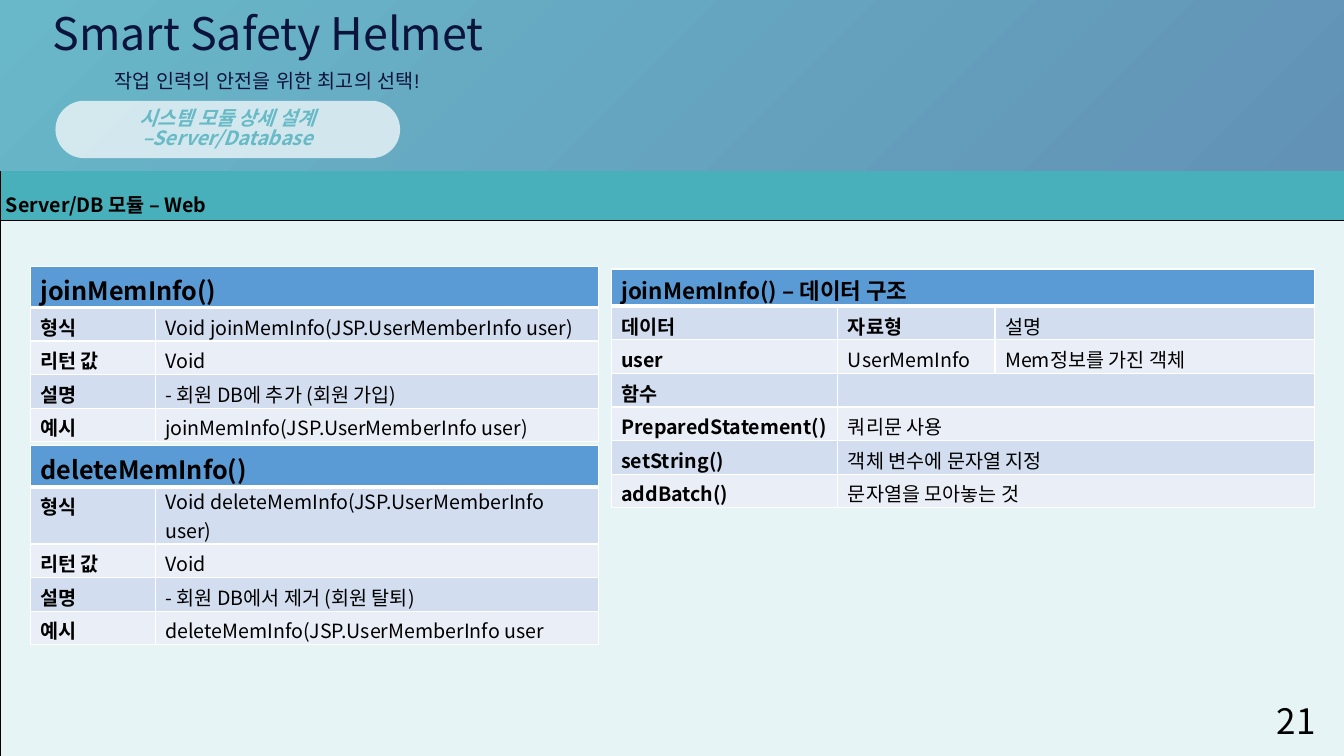
"""Build the Server/DB web module slide of the Smart Safety Helmet deck."""
from lxml.etree import SubElement
from pptx import Presentation
from pptx.dml.color import RGBColor
from pptx.enum.shapes import MSO_SHAPE
from pptx.enum.text import MSO_ANCHOR, MSO_AUTO_SIZE, PP_ALIGN
from pptx.oxml.ns import qn
from pptx.util import Pt

BLACK = RGBColor(0x00, 0x00, 0x00)
WHITE = RGBColor(0xFF, 0xFF, 0xFF)
NAVY = RGBColor(0x0D, 0x14, 0x3C)
AQUA = RGBColor(0x68, 0xBA, 0xC6)
SKY = RGBColor(0x69, 0xB8, 0xC9)
STEEL = RGBColor(0x62, 0x92, 0xB6)
TEAL = RGBColor(0x47, 0xB0, 0xBB)
MIST = RGBColor(0xE7, 0xF4, 0xF6)
BLUE = RGBColor(0x5B, 0x9B, 0xD5)
PALE = RGBColor(0xD2, 0xDE, 0xEF)
LIGHT = RGBColor(0xEA, 0xEF, 0xF7)
FONT = "Noto Sans CJK KR"


def write(para, text, size, color=BLACK, **more):
    if not text:
        SubElement(para._p, qn("a:endParaRPr"), sz=str(size * 100))
        return None
    run = para.add_run()
    run.text = text
    look = {"name": FONT, "size": Pt(size), "bold": False, **more}
    for key, value in look.items():
        setattr(run.font, key, value)
    run.font.color.rgb = color
    props = run._r.get_or_add_rPr()
    SubElement(props, qn("a:ea"), typeface=look["name"])
    return run


def grid(left, top, cols, highs, rows, head, tones=(BLUE, PALE, LIGHT),
         edge=WHITE, thin=1, thick=3):
    frame = slide.shapes.add_table(len(rows), len(cols), Pt(left), Pt(top),
                                   Pt(sum(cols)), Pt(sum(highs)))
    table = frame.table
    for col, wide in zip(table.columns, cols):
        col.width = Pt(wide)
    for r, texts in enumerate(rows):
        table.rows[r].height = Pt(highs[r])
        for c in range(len(cols)):
            cell = table.cell(r, c)
            text = texts[c] if c < len(texts) else ""
            cell.margin_top, cell.margin_bottom = Pt(3.5), 0
            write(cell.text_frame.paragraphs[0], text, 14 if r else head,
                  bold=r == 0 or c == 0 or text == "자료형")
            props = cell._tc.get_or_add_tcPr()
            for side in ("lnL", "lnR", "lnT", "lnB"):
                heavy = (side, r) in (("lnB", 0), ("lnT", 1))
                line = SubElement(props, qn(f"a:{side}"),
                                  w=str(Pt(thick if heavy else thin)))
                paint = SubElement(line, qn("a:solidFill"))
                SubElement(paint, qn("a:srgbClr"), val=str(edge))
            cell.fill.solid()
            cell.fill.fore_color.rgb = tones[2 - r % 2] if r else tones[0]
        if len(texts) < len(cols):
            table.cell(r, len(texts) - 1).merge(table.cell(r, len(cols) - 1))
    return table


deck = Presentation()
deck.slide_width, deck.slide_height = Pt(960), Pt(540)
slide = deck.slides.add_slide(deck.slide_layouts[5])
shapes = slide.shapes

panel = grid(0, 121.7, [960], [34.5, 383.8], [["Server/DB 모듈 – Web"], [""]],
             14, (TEAL, MIST, MIST), BLACK, 0.28, 0.28)
bar = panel.cell(0, 0)
bar.vertical_anchor = MSO_ANCHOR.MIDDLE
bar.margin_left = bar.margin_right = Pt(4.3)
bar.margin_top = bar.margin_bottom = Pt(1.4)
bar.text_frame.paragraphs[0].line_spacing = 1.6

banner = shapes.add_shape(MSO_SHAPE.RECTANGLE, 0, 0, Pt(960), Pt(121.7))
banner.shadow.inherit = False
banner.line.fill.background()
banner.fill.gradient()
banner.fill.gradient_angle = 315
for stop, tone in zip(banner.fill.gradient_stops, (SKY, STEEL)):
    stop.color.rgb = tone

title = shapes.title
shapes._spTree.append(title._element)
title.left, title.top, title.width, title.height = Pt(21.6), 0, Pt(340), Pt(46)
motto = shapes.add_textbox(Pt(74.9), Pt(45.4), Pt(269.3), Pt(24.5))
number = shapes.add_textbox(Pt(730.8), Pt(500.4), Pt(216), Pt(28.8))
labels = (
    (title, "Smart Safety Helmet", 32, FONT, NAVY, PP_ALIGN.CENTER),
    (motto, "작업 인력의 안전을 위한 최고의 선택!", 14, "Arial", NAVY, PP_ALIGN.LEFT),
    (number, "21", 25, FONT, BLACK, PP_ALIGN.RIGHT),
)
for box, text, size, name, tone, align in labels:
    frame = box.text_frame
    frame.word_wrap = True
    frame.auto_size = MSO_AUTO_SIZE.NONE
    frame.vertical_anchor = MSO_ANCHOR.MIDDLE
    frame.paragraphs[0].alignment = align
    run = write(frame.paragraphs[0], text, size, tone, name=name)
    if tone == NAVY:
        props = run._r.get_or_add_rPr()
        line = props.makeelement(qn("a:ln"), {"w": str(Pt(0.75))})
        props.insert(0, line)
        paint = SubElement(line, qn("a:solidFill"))
        ink = SubElement(paint, qn("a:srgbClr"), val=str(NAVY))
        SubElement(ink, qn("a:alpha"), val="30000")

pill = shapes.add_shape(MSO_SHAPE.ROUNDED_RECTANGLE,
                        Pt(39.6), Pt(72), Pt(246.2), Pt(41))
pill.adjustments[0] = 0.5
pill.shadow.inherit = False
pill.line.fill.background()
pill.fill.solid()
pill.fill.fore_color.rgb = WHITE
SubElement(pill._element.spPr.find(".//" + qn("a:srgbClr")),
           qn("a:alpha"), val="71000")
frame = pill.text_frame
frame.vertical_anchor = MSO_ANCHOR.MIDDLE
for i, text in enumerate(("시스템 모듈 상세 설계", "–Server/Database")):
    para = frame.add_paragraph() if i else frame.paragraphs[0]
    para.alignment = PP_ALIGN.CENTER
    para.line_spacing = 0.85
    write(para, text, 14, AQUA, bold=True, italic=True)

calls = (
    (190.1, 24, "joinMemInfo()", "Void joinMemInfo(JSP.UserMemberInfo user)",
     "- 회원 DB에 추가 (회원 가입)", "joinMemInfo(JSP.UserMemberInfo user)"),
    (318.2, 40, "deleteMemInfo()", "Void deleteMemInfo(JSP.UserMemberInfo user)",
     "- 회원 DB에서 제거 (회원 탈퇴)", "deleteMemInfo(JSP.UserMemberInfo user"),
)
for top, high, name, form, note, sample in calls:
    rows = [[name], ["형식", form], ["리턴 값", "Void"],
            ["설명", note], ["예시", sample]]
    table = grid(21.6, top, [89.3, 316.8], [29.3, high, 24, 24, 24], rows, 18)
    if high > 24:
        table.cell(1, 1).margin_top = 0

grid(436.5, 192.2, [162, 112.3, 228.2], [26.6] + [24] * 6, [
    ["joinMemInfo() – 데이터 구조"],
    ["데이터", "자료형", "설명"],
    ["user", "UserMemInfo", "Mem정보를 가진 객체"],
    ["함수", ""],
    ["PreparedStatement()", "쿼리문 사용"],
    ["setString()", "객체 변수에 문자열 지정"],
    ["addBatch()", "문자열을 모아놓는 것"],
], 16)

deck.save("out.pptx")
